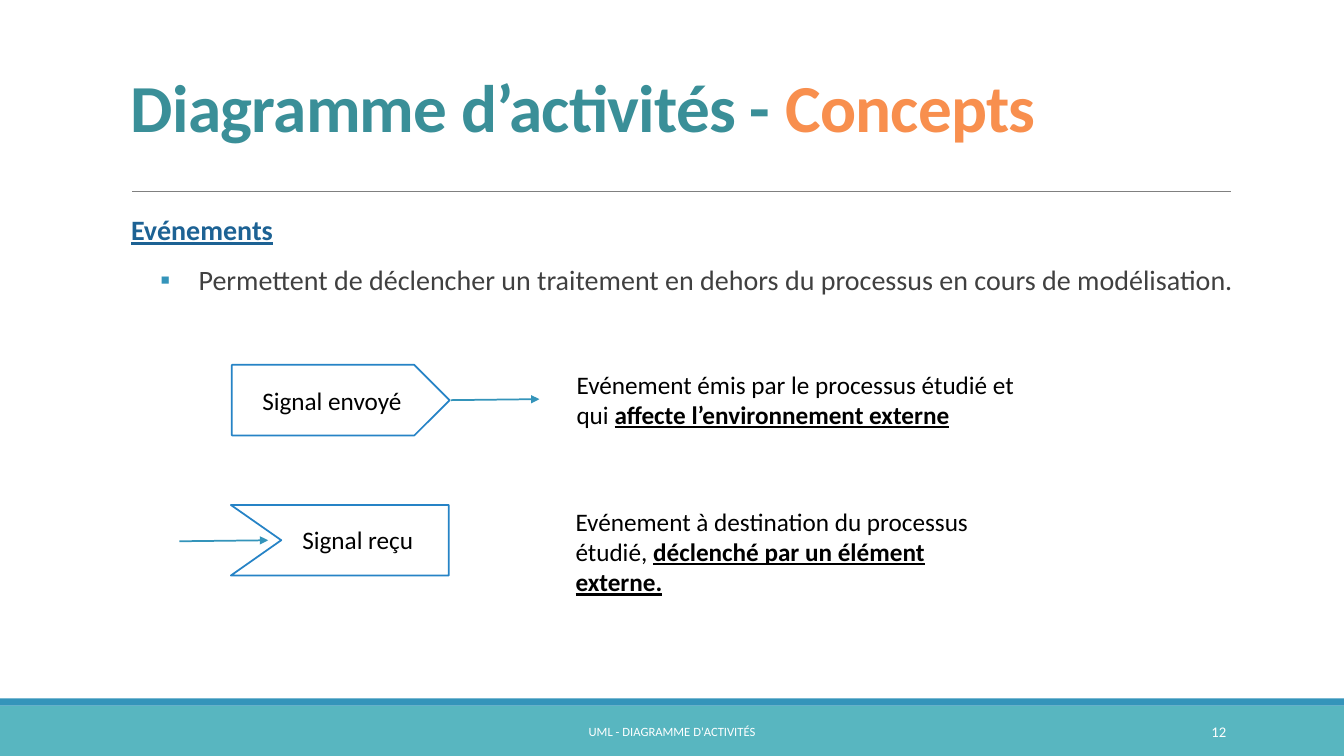
from dataclasses import dataclass
from lxml.etree import SubElement as Sub
from pptx import Presentation
from pptx.dml.color import RGBColor as RGB
from pptx.enum.shapes import MSO_CONNECTOR as Link, MSO_SHAPE as Kind
from pptx.enum.text import MSO_ANCHOR as Anchor, PP_ALIGN as Align
from pptx.oxml.ns import qn
from pptx.util import Inches, Pt


@dataclass(frozen=True)
class Theme:
    font: str = "Calibri"
    white: str = "FFFFFF"
    black: str = "000000"
    dark: str = "404040"
    gray: str = "808080"
    teal: str = "3A8F98"
    orange: str = "F88F4E"
    navy: str = "1D6294"
    blue: str = "3494BA"
    edge: str = "2683C6"
    band: str = "58B6C0"
    title: float = 48
    body: float = 20
    label: float = 18
    page: float = 10.5
    foot: float = 9
    stroke: float = 1.25


class Sheet:
    def __init__(self, slide, theme):
        self.slide, self.theme = slide, theme

    def run(self, para, text, size, color, bold=False, under=False, track=None):
        run = para.add_run()
        run.text = text
        font = run.font
        font.name, font.size = self.theme.font, Pt(size)
        font.bold, font.underline = bold, under
        font.color.rgb = RGB.from_string(color)
        if track is not None:
            run._r.get_or_add_rPr().set("spc", str(int(track * 100)))

    def text(self, box, anchor=Anchor.TOP, align=Align.LEFT):
        """Add a text box and return its frame."""
        frame = self.slide.shapes.add_textbox(*map(Inches, box)).text_frame
        frame.word_wrap, frame.vertical_anchor = True, anchor
        frame.paragraphs[0].alignment = align
        return frame

    def paint(self, shape, fill, edge=None):
        shape.shadow.inherit = False
        shape.fill.solid()
        shape.fill.fore_color.rgb = RGB.from_string(fill)
        if edge:
            shape.line.color.rgb = RGB.from_string(edge)
            shape.line.width = Pt(self.theme.stroke)
        else:
            shape.line.fill.background()
        return shape

    def shape(self, kind, box, fill, edge=None):
        shape = self.slide.shapes.add_shape(kind, *map(Inches, box))
        return self.paint(shape, fill, edge)

    def form(self, points, fill, edge):
        pen = self.slide.shapes.build_freeform(*map(Inches, points[0]), scale=1.0)
        pen.add_line_segments([(Inches(x), Inches(y)) for x, y in points[1:]])
        return self.paint(pen.convert_to_shape(), fill, edge)

    def line(self, start, end, color, width, arrow=False):
        line = self.slide.shapes.add_connector(
            Link.STRAIGHT, *map(Inches, start + end))
        line.line.color.rgb = RGB.from_string(color)
        line.line.width = Pt(width)
        if arrow:
            Sub(line.line._get_or_add_ln(), qn("a:tailEnd"), type="triangle")
        Sub(line._element.spPr, qn("a:effectLst"))

    def space(self, para, left, hang=0):
        """Set body spacing and indents."""
        para.line_spacing = 0.9
        para.space_before, para.space_after = Pt(12), Pt(2)
        props = para._p.get_or_add_pPr()
        props.set("marL", str(Inches(left)))
        props.set("indent", str(-Inches(hang)))
        return props

    def bullet(self, props, mark, color):
        tint = Sub(props, qn("a:buClr"))
        Sub(tint, qn("a:srgbClr"), val=color)
        Sub(props, qn("a:buFont"), typeface=self.theme.font)
        Sub(props, qn("a:buChar"), char=mark)


def main():
    deck = Presentation()
    deck.slide_width, deck.slide_height = Inches(13.33), Inches(7.5)
    look = Theme()
    sheet = Sheet(deck.slides.add_slide(deck.slide_layouts[6]), look)

    # Footer bands and title rule
    sheet.shape(Kind.RECTANGLE, (0, 7, 13.33, 0.5), look.band)
    sheet.shape(Kind.RECTANGLE, (0, 6.93, 13.33, 0.07), look.blue)
    sheet.line((1.31, 1.9), (12.21, 1.9), look.gray, 0.5)

    # Title
    para = sheet.text((1.2, 0.31, 11, 1.19), Anchor.BOTTOM).paragraphs[0]
    para.line_spacing = 0.85
    for words, color in (("Diagramme d’activités - ", look.teal),
                         ("Concepts", look.orange)):
        sheet.run(para, words, look.title, color, bold=True, track=-0.5)

    # Body
    frame = sheet.text((1.2, 2.1, 11.63, 1.1))
    frame.margin_left = frame.margin_right = 0
    para = frame.paragraphs[0]
    sheet.space(para, 0.1)
    sheet.run(para, "Evénements", look.body, look.navy, True, True)
    para = frame.add_paragraph()
    sheet.bullet(sheet.space(para, 0.77, 0.38), "▪", look.blue)
    sheet.run(para, "Permettent de déclencher un traitement en dehors du "
              "processus en cours de modélisation.", look.body, look.dark)

    # Sent signal
    sent = sheet.shape(Kind.PENTAGON, (2.3, 3.62, 2.16, 0.7),
                       look.white, look.edge)
    frame = sent.text_frame
    frame.vertical_anchor = Anchor.MIDDLE
    frame.paragraphs[0].alignment = Align.CENTER
    sheet.run(frame.paragraphs[0], "Signal envoyé", look.label, look.black)

    # Received signal, notched on the left
    left, top, right, low = 2.29, 5.01, 4.45, 5.71
    sheet.form([(left, top), (right, top), (right, low), (left, low),
                (left + 0.5, (top + low) / 2)], look.white, look.edge)
    frame = sheet.text((2.9, 5.15, 1.48, 0.4))
    sheet.run(frame.paragraphs[0], "Signal reçu", look.label, look.black)

    # Signal notes
    notes = (
        ((5.62, 3.61, 4.87, 0.71), "Evénement émis par le processus étudié et qui ",
         "affecte l’environnement externe"),
        ((5.61, 4.97, 4.4, 1.01), "Evénement à destination du processus étudié, ",
         "déclenché par un élément externe."),
    )
    for box, plain, strong in notes:
        para = sheet.text(box).paragraphs[0]
        sheet.run(para, plain, look.label, look.black)
        sheet.run(para, strong, look.label, look.black, True, True)

    # Signal arrows
    for x, y in ((4.47, 3.97), (1.78, 5.37)):
        sheet.line((x, y), (x + 0.88, y - 0.01), look.blue, look.stroke, True)

    # Footer text
    for box, align, words, size in (
            ((4.03, 7.06, 5.27, 0.4), Align.CENTER,
             "UML - DIAGRAMME D'ACTIVITÉS", look.foot),
            ((10.83, 7.06, 1.43, 0.4), Align.RIGHT, "12", look.page)):
        frame = sheet.text(box, Anchor.MIDDLE, align)
        sheet.run(frame.paragraphs[0], words, size, look.white)

    deck.save("out.pptx")


if __name__ == "__main__":
    main()
